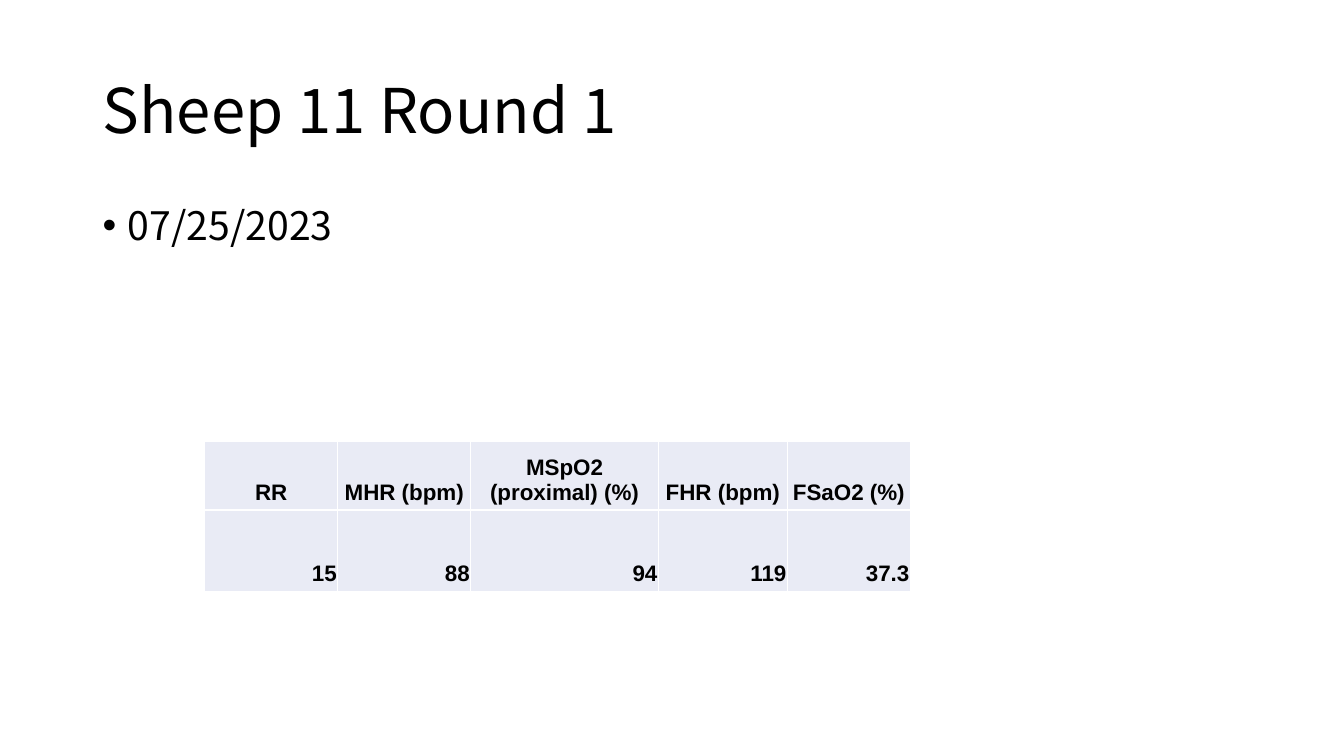
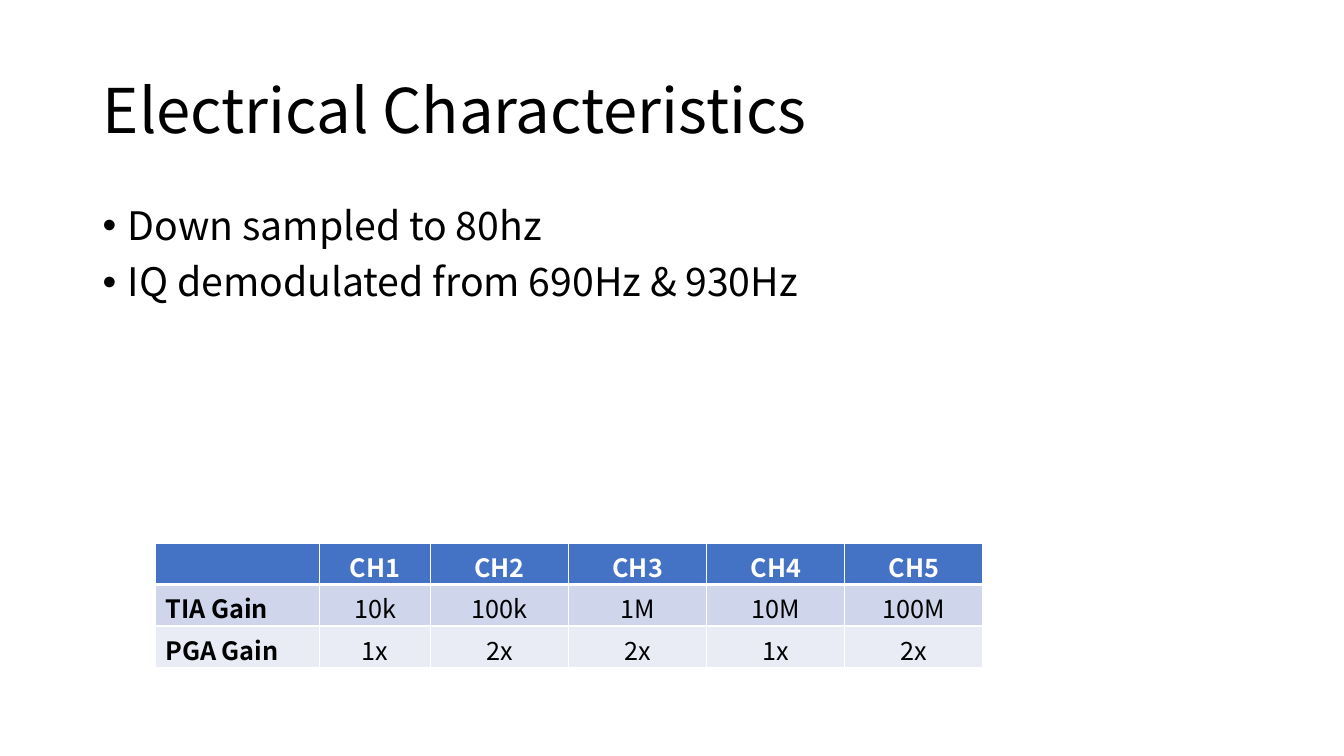
from dataclasses import dataclass

from lxml.etree import SubElement
from pptx import Presentation
from pptx.dml.color import RGBColor
from pptx.enum.text import MSO_ANCHOR, PP_ALIGN
from pptx.oxml.ns import qn
from pptx.util import Inches, Pt


@dataclass(frozen=True)
class Theme:
    font: str = "Noto Sans CJK SC"
    data_font: str = "Arial"
    text: str = "000000"
    white: str = "FFFFFF"
    header: str = "4472C4"
    band: str = "CFD5EA"
    pale: str = "E9EBF5"
    title_size: int = 44
    body_size: int = 28
    table_size: int = 18
    data_size: int = 16
    thin: int = 1
    thick: int = 3


THEME = Theme()


def write(p, text, *, size, font=THEME.font, color=THEME.text, bold=False,
          align=PP_ALIGN.LEFT, line_spacing=None, space_before=None):
    p.alignment = align
    p.line_spacing = line_spacing
    p.space_before = space_before
    if text:
        r = p.add_run()
        r.text = text
        r.font.name = font
        r.font.size = Pt(size)
        r.font.bold = bold
        r.font.color.rgb = RGBColor.from_string(color)


def add_bullet(p, indent):
    pPr = p._p.get_or_add_pPr()
    pPr.set("marL", str(indent))
    pPr.set("indent", str(-indent))
    SubElement(pPr, qn("a:buFont"), typeface="Arial")
    SubElement(pPr, qn("a:buChar"), char="•")


def add_borders(cell, color, **widths):
    tcPr = cell._tc.get_or_add_tcPr()
    for side in "LRTB":
        width = widths.get(side, THEME.thin)
        ln = SubElement(tcPr, qn(f"a:ln{side}"), w=str(Pt(width)))
        fill = SubElement(ln, qn("a:solidFill"))
        SubElement(fill, qn("a:srgbClr"), val=color)


class Deck:
    left, width = Inches(0.92), Inches(11.5)

    def __init__(self, theme):
        self.theme = theme
        self.prs = Presentation()
        self.prs.slide_width = Inches(13.33)
        self.prs.slide_height = Inches(7.5)
        self.s = None

    def slide(self, title):
        self.s = self.prs.slides.add_slide(self.prs.slide_layouts[5])
        sp = self.s.shapes.title
        sp.left, sp.top = self.left, Inches(0.4)
        sp.width, sp.height = self.width, Inches(1.45)
        tf = sp.text_frame
        tf.vertical_anchor = MSO_ANCHOR.MIDDLE
        write(tf.paragraphs[0], title, size=self.theme.title_size,
              line_spacing=0.9)

    def bullets(self, *items):
        sp = self.s.shapes.add_textbox(self.left, Inches(2), self.width,
                                       Inches(4.76))
        tf = sp.text_frame
        tf.word_wrap = True
        for i, item in enumerate(items):
            p = tf.add_paragraph() if i else tf.paragraphs[0]
            write(p, item, size=self.theme.body_size, line_spacing=0.9,
                  space_before=Pt(10))
            add_bullet(p, Inches(0.25))

    def table(self, left, top, cols, rows, data, style):
        frame = self.s.shapes.add_table(
            len(rows), len(cols), Inches(left), Inches(top),
            Inches(sum(cols)), Inches(sum(rows)))
        table = frame.table
        table.first_row = table.horz_banding = False
        for column, width in zip(table.columns, cols):
            column.width = Inches(width)
        for row, height in zip(table.rows, rows):
            row.height = Inches(height)
        for i, values in enumerate(data):
            for j, value in enumerate(values):
                style(table.cell(i, j), i, j, value)

    def data_cell(self, cell, i, j, value):
        t = self.theme
        cell.margin_left = cell.margin_right = cell.margin_top = Inches(0.01)
        cell.margin_bottom = Inches(0.05)
        self.paint(cell, t.pale, MSO_ANCHOR.BOTTOM)
        write(cell.text_frame.paragraphs[0], value, size=t.data_size,
              font=t.data_font, bold=True,
              align=PP_ALIGN.RIGHT if i else PP_ALIGN.CENTER)

    def gain_cell(self, cell, i, j, value):
        t = self.theme
        fill = (t.header, t.band, t.pale)[i]
        rule = {0: {"B": t.thick}, 1: {"T": t.thick}}.get(i, {})
        self.paint(cell, fill, MSO_ANCHOR.MIDDLE, **rule)
        write(cell.text_frame.paragraphs[0], value, size=t.table_size,
              color=t.text if i else t.white, bold=i == 0 or j == 0,
              align=PP_ALIGN.CENTER if j else PP_ALIGN.LEFT)

    def paint(self, cell, fill, anchor, **borders):
        cell.vertical_anchor = anchor
        add_borders(cell, self.theme.white, **borders)
        cell.fill.solid()
        cell.fill.fore_color.rgb = RGBColor.from_string(fill)


def main():
    deck = Deck(THEME)

    deck.slide("Sheep 11 Round 1")
    deck.bullets("07/25/2023")
    deck.table(2.03, 4.38, [1.32, 1.32, 1.86, 1.28, 1.22], [0.68, 0.81], [
        ["RR", "MHR (bpm)", "MSpO2 (proximal) (%)", "FHR (bpm)", "FSaO2 (%)"],
        ["15", "88", "94", "119", "37.3"],
    ], deck.data_cell)

    deck.slide("Electrical Characteristics")
    deck.bullets("Down sampled to 80hz", "IQ demodulated from 690Hz & 930Hz")
    deck.table(1.54, 5.39, [1.63, 1.1] + [1.37] * 4, [0.41] * 3, [
        ["", "CH1", "CH2", "CH3", "CH4", "CH5"],
        ["TIA Gain", "10k", "100k", "1M", "10M", "100M"],
        ["PGA Gain", "1x", "2x", "2x", "1x", "2x"],
    ], deck.gain_cell)

    deck.prs.save("out.pptx")


if __name__ == "__main__":
    main()
